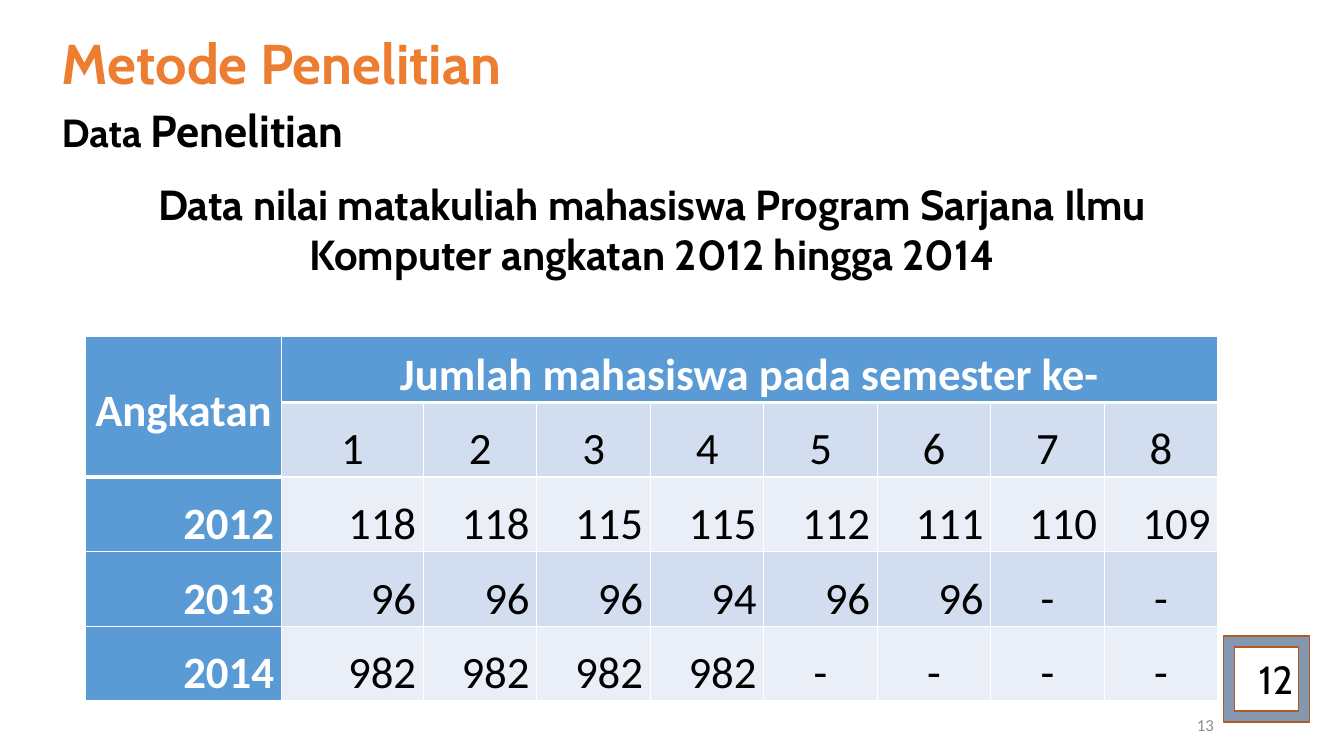
from dataclasses import dataclass
from lxml.etree import SubElement
from pptx import Presentation
from pptx.dml.color import RGBColor as RGB
from pptx.enum.shapes import MSO_SHAPE as Shape
from pptx.enum.text import MSO_ANCHOR as Anchor, MSO_AUTO_SIZE as Fit, PP_ALIGN as Align
from pptx.oxml import parse_xml
from pptx.oxml.ns import nsdecls, qn
from pptx.util import Cm, Pt


@dataclass(frozen=True)
class Theme:
    head: str = "Cabin"
    body: str = "Calibri"
    black: RGB = RGB(0, 0, 0)
    white: RGB = RGB(255, 255, 255)
    orange: RGB = RGB(0xED, 0x7D, 0x31)
    grey: RGB = RGB(0x8C, 0x8C, 0x8C)
    blue: RGB = RGB(0x5B, 0x9B, 0xD5)
    band: RGB = RGB(0xD2, 0xDE, 0xEF)
    pale: RGB = RGB(0xEA, 0xEF, 0xF7)
    slate: RGB = RGB(0x84, 0x97, 0xB0)
    rust: RGB = RGB(0xAF, 0x5C, 0x24)
    title: int = 40
    large: int = 32
    lead: int = 30
    label: int = 28
    small: int = 12


T = Theme()
LEFT, WIDTH = 2.16, 28.55
BADGE = 30.84
PAGE = 7.62
COLS = [4.93, 3.58] + [2.86] * 7
ROWS = [1.66] + [1.88] * 4
DATA = [
    ["Angkatan", "Jumlah mahasiswa pada semester ke-"] + [""] * 7,
    [""] + [str(n) for n in range(1, 9)],
    ["2012", "118", "118", "115", "115", "112", "111", "110", "109"],
    ["2013", "96", "96", "96", "94", "96", "96", "-", "-"],
    ["2014", "982", "982", "982", "982", "-", "-", "-", "-"],
]


def style(para, size, color, face=T.head, bold=False, align=Align.LEFT):
    para.alignment = align
    font = para.font
    font.name, font.size, font.bold = face, Pt(size), bold
    font.color.rgb = color


def place(shape, x, y, w, h):
    shape.left, shape.top, shape.width, shape.height = Cm(x), Cm(y), Cm(w), Cm(h)


def holder(shape, box, parts, size, color, align=Align.LEFT):
    place(shape, *box)
    frame = shape.text_frame
    frame.auto_size, frame.word_wrap = Fit.NONE, True
    frame.vertical_anchor = Anchor.TOP
    para = frame.paragraphs[0]
    para.space_before = Pt(0)
    props = para._p.get_or_add_pPr()
    props.set("marL", "0")
    props.set("indent", "0")
    SubElement(props, qn("a:buNone"))
    style(para, size, color, bold=True, align=align)
    for text, pts in parts:
        run = para.add_run()
        run.text = text
        if pts != size:
            run.font.size = Pt(pts)


def label(slide, box, text, wrap=True, anchor=Anchor.TOP, **look):
    frame = slide.shapes.add_textbox(*map(Cm, box)).text_frame
    frame.word_wrap, frame.vertical_anchor = wrap, anchor
    frame.text = text
    style(frame.paragraphs[0], **look)


def edge(cell, row, col):
    thick = row == 0 or (row, col) == (1, 0)
    sides = {"L": 1, "R": 1, "T": 1, "B": 3 if thick else 1}
    if col:
        del sides["L"]
    if row:
        del sides["T"]
    props = cell._tc.get_or_add_tcPr()
    for spot, (side, pts) in enumerate(sides.items()):
        line = parse_xml(
            f'<a:ln{side} {nsdecls("a")} w="{Pt(pts)}"><a:solidFill>'
            f'<a:srgbClr val="{T.white}"/></a:solidFill></a:ln{side}>'
        )
        props.insert(spot, line)


def fill(cell, row, col, text):
    head = row == 0 or col == 0
    cell.fill.solid()
    cell.fill.fore_color.rgb = T.blue if head else (T.band if row % 2 else T.pale)
    cell.margin_left = cell.margin_right = Cm(0.18)
    cell.margin_top = cell.margin_bottom = 0
    cell.vertical_anchor = Anchor.MIDDLE if row == col == 0 else Anchor.BOTTOM
    cell.text = text
    para = cell.text_frame.paragraphs[0]
    para.line_spacing = 1.15
    align = Align.CENTER if row < 2 or text == "-" else Align.RIGHT
    style(para, T.large, T.white if head else T.black, T.body, head, align)
    edge(cell, row, col)


def grid(slide):
    box = map(Cm, (LEFT, 8.48, WIDTH, sum(ROWS)))
    table = slide.shapes.add_table(len(ROWS), len(COLS), *box).table
    table.first_row = table.horz_banding = False
    for col, width in zip(table.columns, COLS):
        col.width = Cm(width)
    for row, height in zip(table.rows, ROWS):
        row.height = Cm(height)
    for r, line in enumerate(DATA):
        for c, text in enumerate(line):
            fill(table.cell(r, c), r, c, text)
    table.cell(0, 0).merge(table.cell(1, 0))
    table.cell(0, 1).merge(table.cell(0, 8))


def badge(slide):
    shape = slide.shapes.add_shape(Shape.FRAME, *map(Cm, (BADGE, 16.03, 2.16, 2.16)))
    shape.shadow.inherit = False
    shape.fill.solid()
    shape.fill.fore_color.rgb = T.slate
    shape.line.color.rgb = T.rust
    shape.line.width = Pt(1)
    label(slide, (31.47, 16.38, 1.37, 1.45), "12", wrap=False, size=T.label, color=T.black)


def main():
    deck = Presentation()
    deck.slide_width, deck.slide_height = Cm(33.87), Cm(19.05)
    slide = deck.slides.add_slide(deck.slide_layouts[3])
    title, topic, lead = slide.placeholders
    holder(title, (1.3, 0.58, 15.77, 1.9), [("Metode Penelitian", T.title)], T.title, T.orange)
    holder(topic, (1.3, 2.46, 8.48, 1.9),
           [("Data ", T.label), ("Penelitian", T.large)], T.large, T.black)
    text = "Data nilai matakuliah mahasiswa Program Sarjana Ilmu Komputer angkatan 2012 hingga 2014"
    holder(lead, (LEFT, 4.37, WIDTH, 1.9), [(text, T.lead)], T.lead, T.black, Align.CENTER)
    label(slide, (BADGE - PAGE, 17.75, PAGE, 1.02), "13", anchor=Anchor.MIDDLE,
          size=T.small, color=T.grey, face=T.body, align=Align.RIGHT)
    grid(slide)
    badge(slide)
    deck.save("out.pptx")


if __name__ == "__main__":
    main()
